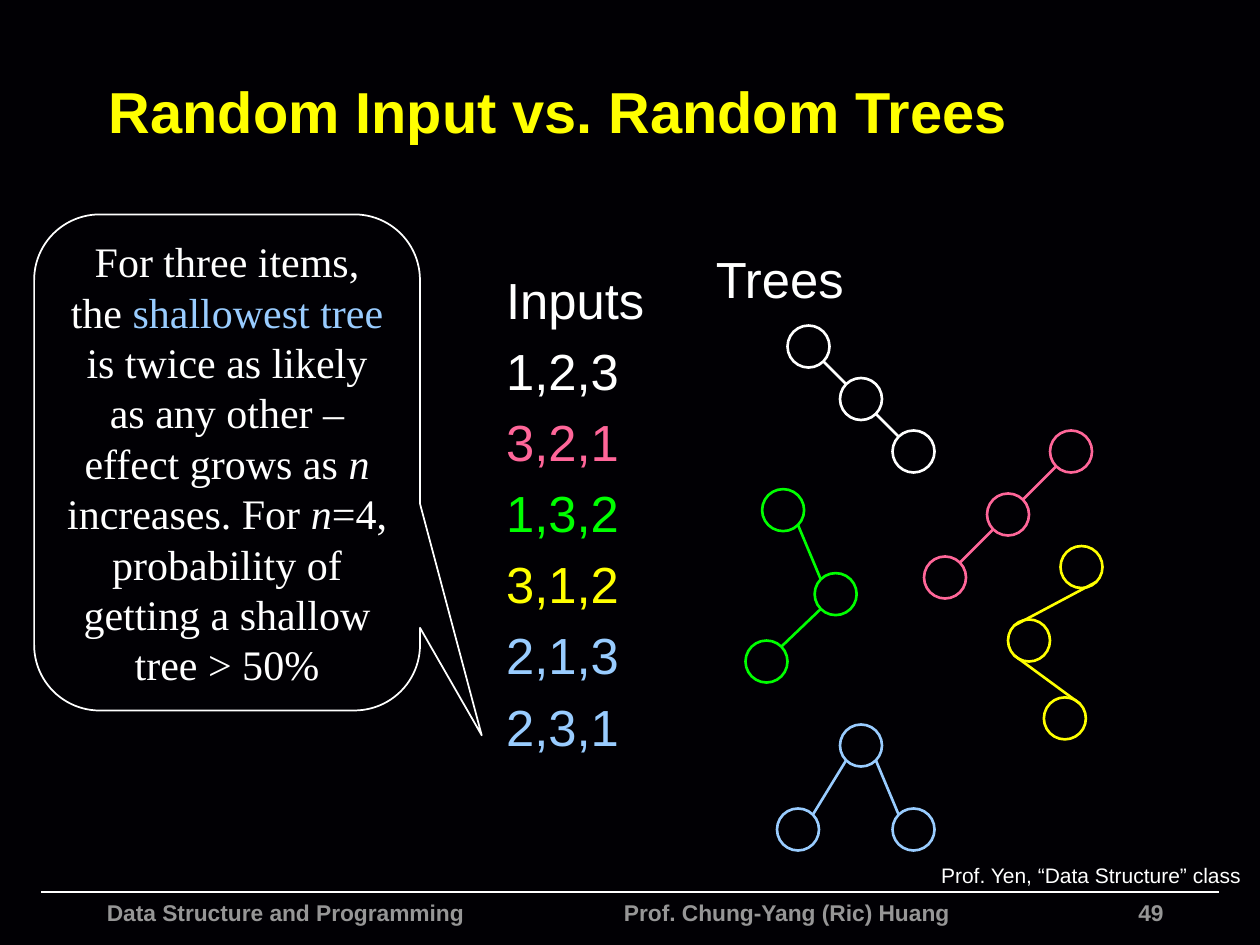
from lxml import etree
from pptx import Presentation
from pptx.dml.color import RGBColor
from pptx.enum.shapes import MSO_CONNECTOR, MSO_SHAPE
from pptx.enum.text import MSO_ANCHOR, MSO_AUTO_SIZE, PP_ALIGN
from pptx.oxml.ns import qn
from pptx.util import Pt

LEFT, MID, RIGHT = PP_ALIGN.LEFT, PP_ALIGN.CENTER, PP_ALIGN.RIGHT
TOP, CENTER = MSO_ANCHOR.TOP, MSO_ANCHOR.MIDDLE
FIXED, GROW = MSO_AUTO_SIZE.NONE, MSO_AUTO_SIZE.SHAPE_TO_FIT_TEXT
LINE = MSO_CONNECTOR.STRAIGHT
OVAL, BUBBLE = MSO_SHAPE.OVAL, MSO_SHAPE.ROUNDED_RECTANGULAR_CALLOUT

COLORS = {
    "back": "010004", "white": "FFFFFF", "gray": "969696", "yellow": "FFFF00",
    "pink": "FF6699", "green": "00FF00", "blue": "99CCFF",
}
SANS, SERIF = "Arial", "Times New Roman"

TITLE = "Random Input vs. Random Trees"
INPUTS = [
    ("Inputs", "white"), ("1,2,3", "white"), ("3,2,1", "pink"),
    ("1,3,2", "green"), ("3,1,2", "yellow"), ("2,1,3", "blue"),
    ("2,3,1", "blue"),
]
# Text, color, italic
REMARK = [
    ("For three items, the ", "white", False),
    ("shallowest tree", "blue", False),
    (" is twice as likely as any other – effect grows as ", "white", False),
    ("n", "white", True),
    (" increases. For ", "white", False),
    ("n", "white", True),
    ("=4, probability of getting a shallow tree > 50%", "white", False),
]
COURSE = "Data Structure and Programming\tProf. Chung-Yang (Ric) Huang"
CREDIT = "Prof. Yen, “Data Structure” class"

# Corners of a node where an edge may touch it
TL, TR, BL, BR = (-1, -1), (1, -1), (-1, 1), (1, 1)
NODE = 24
GAP = 5.8
# Color, top left of each node, edges (parent, corner, child, corner)
TREES = [
    ("white", [(450, 186), (480, 216), (510, 246)],
     [(0, BR, 1, TL), (1, BR, 2, TL)]),
    ("pink", [(600, 246), (564, 282), (528, 318)],
     [(0, BL, 1, TR), (1, BL, 2, TR)]),
    ("blue", [(480, 414), (510, 462), (444, 462)],
     [(0, BR, 1, TL), (0, BL, 2, TR)]),
    ("green", [(435.5, 279.5), (465.5, 327.5), (426, 366)],
     [(0, BR, 1, TL), (1, BL, 2, TR)]),
    ("yellow", [(606, 312), (576, 354), (596.5, 398.5)],
     [(0, BR, 1, TL), (1, BL, 2, TR)]),
]


def rgb(name):
    return RGBColor.from_string(COLORS[name])


def place(shape, *box):
    shape.left, shape.top, shape.width, shape.height = map(Pt, box)


def write(para, text, size, color, font=SANS, bold=False, italic=False):
    run = para.add_run()
    run.text = text
    face = run.font
    face.name, face.size = font, Pt(size)
    face.bold, face.italic = bold, italic
    face.color.rgb = rgb(color)


def label(box, text, size, color, align=LEFT, bold=False):
    """Add a text box with one run and return its frame."""
    frame = slide.shapes.add_textbox(*map(Pt, box)).text_frame
    frame.word_wrap = True
    para = frame.paragraphs[0]
    para.alignment = align
    write(para, text, size, color, bold=bold)
    return frame


def draw(kind, box, color, width):
    """Add an unfilled shape with a plain outline."""
    shape = slide.shapes.add_shape(kind, *map(Pt, box))
    shape.shadow.inherit = False
    shape.fill.background()
    shape.line.color.rgb = rgb(color)
    shape.line.width = Pt(width)
    return shape


def join(start, end, color, width):
    line = slide.shapes.add_connector(LINE, *map(Pt, start + end))
    line.line.color.rgb = rgb(color)
    line.line.width = Pt(width)
    etree.SubElement(line._element.spPr, qn("a:effectLst"))


def touch(node, corner):
    """Point on the node's outline, on the diagonal towards the corner."""
    reach = NODE / 2 * 0.5 ** 0.5
    return tuple(n + NODE / 2 + reach * c for n, c in zip(node, corner))


deck = Presentation()
deck.slide_width, deck.slide_height = Pt(720), Pt(540)
slide = deck.slides.add_slide(deck.slide_layouts[1])
slide.background.fill.solid()
slide.background.fill.fore_color.rgb = rgb("back")

# Footer
join((23.5, 509.75), (696.5, 509.75), "white", 1)
label((444, 510, 228, 13), "49", 13, "gray", RIGHT, True)
course = label((54, 510, 521, 30), COURSE, 13, "gray", bold=True)
props = course.paragraphs[0]._p.get_or_add_pPr()
stops = etree.SubElement(props, qn("a:tabLst"))
etree.SubElement(stops, qn("a:tab"), pos=str(Pt(295.5)), algn="l")

# Title and inputs
title, body = slide.placeholders
place(title, 55, 27, 636.5, 72.5)
place(body, 282, 150, 150, 348)
for holder, anchor in ((title, CENTER), (body, TOP)):
    holder.text_frame.auto_size = FIXED
    holder.text_frame.vertical_anchor = anchor
head = title.text_frame.paragraphs[0]
head.alignment = LEFT
write(head, TITLE, 33, "yellow", bold=True)

frame = body.text_frame
for i, (text, color) in enumerate(INPUTS):
    para = frame.add_paragraph() if i else frame.paragraphs[0]
    para.space_before = Pt(GAP)
    props = para._p.get_or_add_pPr()
    props.set("marL", str(Pt(36)))
    props.set("indent", str(Pt(-36)))
    etree.SubElement(props, qn("a:buNone"))
    write(para, text, 29, color)

# Trees
trees = label((402, 138, 114, 66), "Trees", 29, "white")
trees.paragraphs[0].space_before = Pt(GAP)
for color, nodes, edges in TREES:
    for x, y in nodes:
        draw(OVAL, (x, y, NODE, NODE), color, 1.5)
    for a, out, b, into in edges:
        join(touch(nodes[a], out), touch(nodes[b], into), color, 1.5)

# Remark
bubble = draw(BUBBLE, (19.5, 122.5, 220.5, 283.5), "white", 1)
for i, value in enumerate((0.66, 0.55, 0.17)):
    bubble.adjustments[i] = value
frame = bubble.text_frame
frame.word_wrap = True
frame.vertical_anchor = CENTER
para = frame.paragraphs[0]
para.alignment = MID
for text, color, italic in REMARK:
    write(para, text, 24, color, SERIF, italic=italic)

# Credit
credit = label((533.5, 489.5, 180, 21.5), CREDIT, 12, "white", MID)
credit.margin_left = credit.margin_right = Pt(3.6)
credit.word_wrap = False
credit.auto_size = GROW

deck.save("out.pptx")
